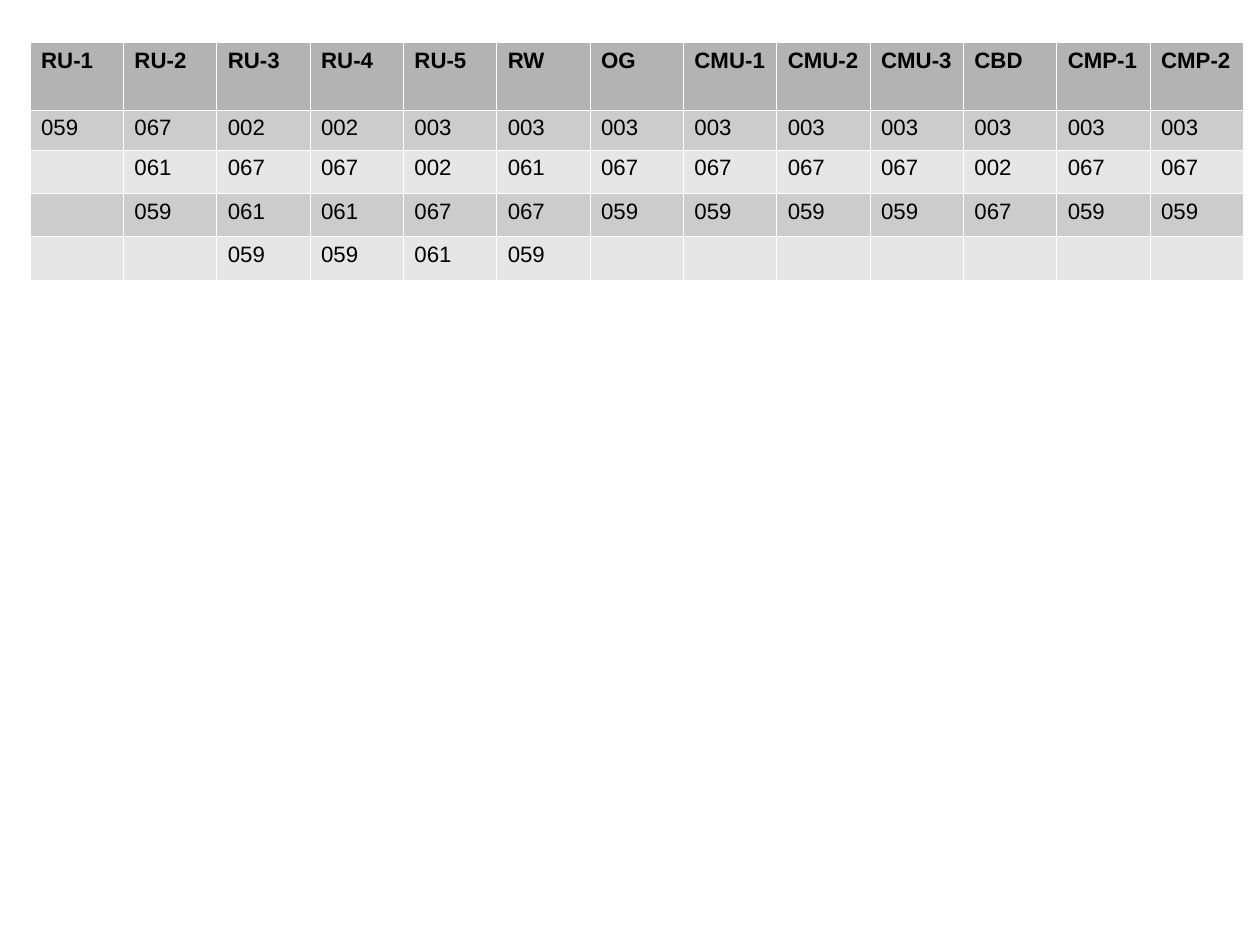
from pptx import Presentation
from pptx.dml.color import RGBColor
from pptx.oxml import parse_xml
from pptx.oxml.ns import nsdecls
from pptx.util import Inches, Pt

BLACK = RGBColor(0x00, 0x00, 0x00)
HEAD = RGBColor(0xB3, 0xB3, 0xB3)
DARK = RGBColor(0xCC, 0xCC, 0xCC)
LIGHT = RGBColor(0xE6, 0xE6, 0xE6)
WHITE = RGBColor(0xFF, 0xFF, 0xFF)
FONT = "Arial"
SIZE = Pt(14)
CM = 1 / 2.54
WIDTH = 10.62
HEIGHTS = [0.59, 0.35, 0.38, 0.38, 0.38]
FILLS = [HEAD, DARK, LIGHT, DARK, LIGHT]

ZONES = {
    "RU-1": ["059"],
    "RU-2": ["067", "061", "059"],
    "RU-3": ["002", "067", "061", "059"],
    "RU-4": ["002", "067", "061", "059"],
    "RU-5": ["003", "002", "067", "061"],
    "RW": ["003", "061", "067", "059"],
    "OG": ["003", "067", "059"],
    "CMU-1": ["003", "067", "059"],
    "CMU-2": ["003", "067", "059"],
    "CMU-3": ["003", "067", "059"],
    "CBD": ["003", "002", "067"],
    "CMP-1": ["003", "067", "059"],
    "CMP-2": ["003", "067", "059"],
}


def add_edges(cell):
    props = cell._tc.get_or_add_tcPr()
    for spot, side in enumerate(("lnL", "lnR", "lnT", "lnB")):
        props.insert(spot, parse_xml(
            f'<a:{side} {nsdecls("a")} w="{Pt(0.06)}"><a:solidFill>'
            f'<a:srgbClr val="{WHITE}"/></a:solidFill></a:{side}>'))


def add_text(cell, words, bold):
    para = cell.text_frame.paragraphs[0]
    if not words:
        para._p.append(parse_xml(
            f'<a:endParaRPr {nsdecls("a")} sz="{int(SIZE.pt * 100)}">'
            f'<a:latin typeface="{FONT}"/></a:endParaRPr>'))
        return
    run = para.add_run()
    run.text = words
    run.font.name = FONT
    run.font.size = SIZE
    run.font.bold = bold
    run.font.color.rgb = BLACK


def fill_cell(cell, words, fill, bold):
    cell.margin_left = Inches(0.1)
    cell.margin_right = Inches(0.09)
    cell.margin_top = cell.margin_bottom = Inches(0.05)
    cell.fill.solid()
    cell.fill.fore_color.rgb = fill
    add_edges(cell)
    add_text(cell, words, bold)


def add_zones(slide):
    frame = slide.shapes.add_table(
        len(HEIGHTS), len(ZONES), Inches(0.26), Inches(0.37),
        Inches(WIDTH), Inches(sum(HEIGHTS)))
    table = frame.table
    for row, height in zip(table.rows, HEIGHTS):
        row.height = Inches(height)
    for col, (zone, codes) in enumerate(ZONES.items()):
        table.columns[col].width = Inches(WIDTH / len(ZONES))
        for row, fill in enumerate(FILLS):
            words = zone if row == 0 else "".join(codes[row - 1:row])
            fill_cell(table.cell(row, col), words, fill, row == 0)


def main():
    deck = Presentation()
    deck.slide_width = Inches(28 * CM)
    deck.slide_height = Inches(21 * CM)
    slide = deck.slides.add_slide(deck.slide_layouts[6])
    add_zones(slide)
    deck.save("out.pptx")


if __name__ == "__main__":
    main()
